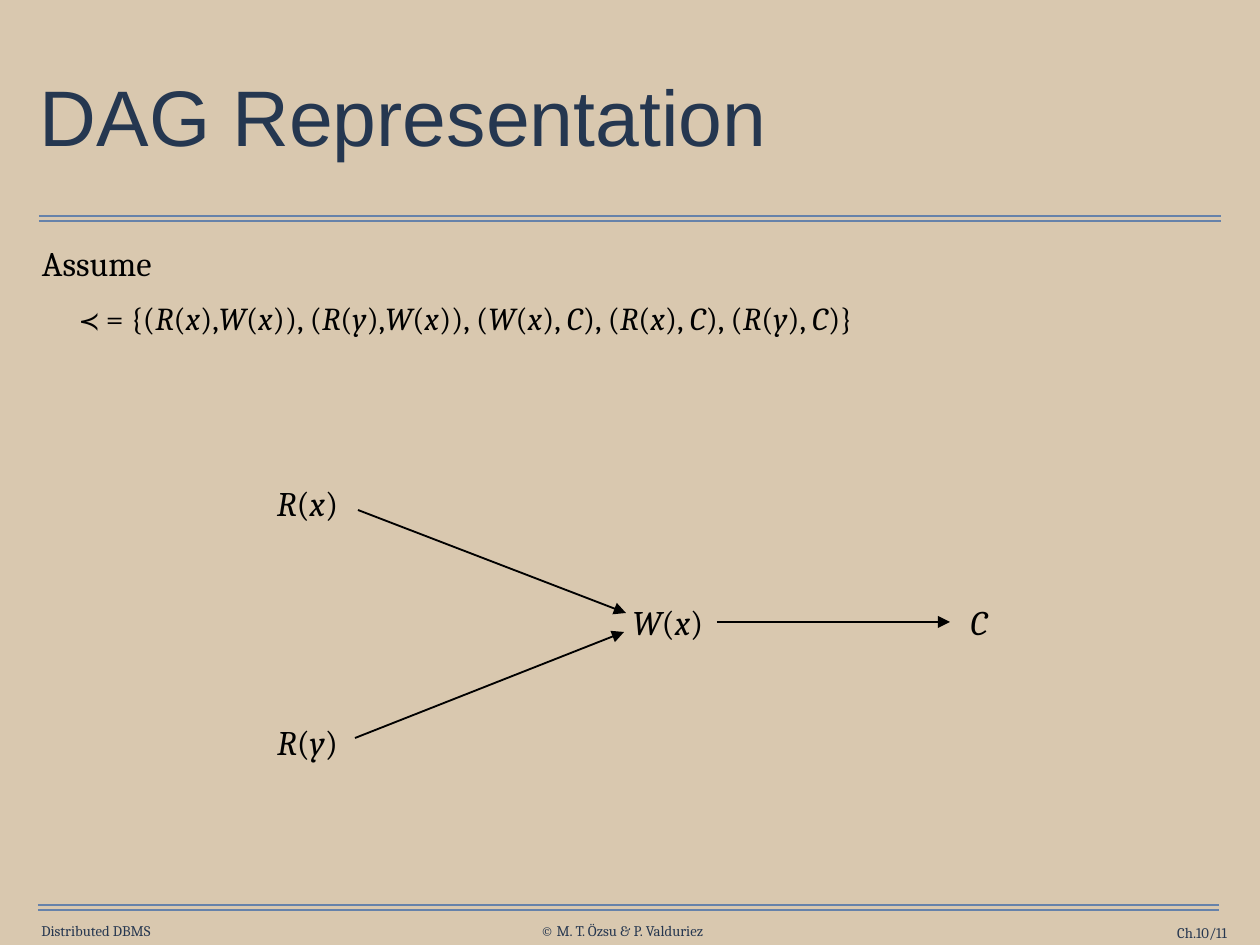
from itertools import groupby

from lxml.etree import SubElement
from pptx import Presentation
from pptx.dml.color import RGBColor
from pptx.enum.shapes import MSO_CONNECTOR
from pptx.enum.text import MSO_ANCHOR as ANCHOR, PP_ALIGN as ALIGN
from pptx.oxml.ns import qn
from pptx.util import Emu, Pt

EMU_PER_PX = 10320
SAND = RGBColor(0xD9, 0xC8, 0xAF)
NAVY = RGBColor(0x25, 0x37, 0x50)
FOOTER_NAVY = RGBColor(0x26, 0x37, 0x50)
RULE_BLUE = RGBColor(0x66, 0x82, 0xAA)
BLACK = RGBColor(0, 0, 0)
RIGHT_SIDE = 3

PRECEDENCE = "≺ = {(R(x),W(x)), (R(y),W(x)), (W(x), C), (R(x), C), (R(y), C)}"


def px(length):
    return Emu(length * EMU_PER_PX)


def add_run(paragraph, text, size, color, font="Cambria", italic=False):
    run = paragraph.add_run()
    run.text = text
    run.font.name = font
    run.font.size = Pt(size)
    run.font.color.rgb = color
    run.font.italic = italic


def add_formula(paragraph, formula, size):
    for is_symbol, characters in groupby(formula, str.isalpha):
        add_run(paragraph, "".join(characters), size, BLACK, italic=is_symbol)


def add_text_frame(slide, box, inset_x=0, inset_y=0, anchor=ANCHOR.TOP, wrap=True):
    shape = slide.shapes.add_textbox(*map(px, box))
    frame = shape.text_frame
    frame.word_wrap = wrap
    frame.vertical_anchor = anchor
    frame.margin_left = frame.margin_right = px(inset_x)
    frame.margin_top = frame.margin_bottom = px(inset_y)
    return shape, frame


def set_indent(paragraph, left, hanging):
    properties = paragraph._p.get_or_add_pPr()
    properties.set("marL", str(px(left)))
    properties.set("indent", str(px(-hanging)))
    paragraph.space_before = Pt(12)


def add_line(slide, start, end, color, width):
    line = slide.shapes.add_connector(MSO_CONNECTOR.STRAIGHT, *map(px, start + end))
    line.line.color.rgb = color
    line.line.width = Pt(width)
    SubElement(line._element.spPr, qn("a:effectLst"))
    return line


def add_double_rule(slide, left, right, top):
    for y in (top, top + 5):
        add_line(slide, (left, y), (right, y), RULE_BLUE, 1)


def add_arrow(slide, start, end):
    arrow = add_line(slide, start, end, BLACK, 1.5)
    SubElement(arrow.line._get_or_add_ln(), qn("a:tailEnd"), type="triangle", w="lg", len="lg")
    return arrow


def add_footer(slide, text, left, width, align, top=922):
    _, frame = add_text_frame(slide, (left, top, width, 18), anchor=ANCHOR.MIDDLE, wrap=False)
    paragraph = frame.paragraphs[0]
    paragraph.alignment = align
    add_run(paragraph, text, 12, FOOTER_NAVY)


def add_node(slide, label, left, top, width):
    shape, frame = add_text_frame(slide, (left, top, width, 54), 12, 6, wrap=False)
    paragraph = frame.paragraphs[0]
    paragraph.alignment = ALIGN.CENTER
    add_formula(paragraph, label, 28)
    return shape


def add_title(slide, text):
    _, frame = add_text_frame(slide, (35, 43, 1191, 156), 5, 5, ANCHOR.MIDDLE)
    paragraph = frame.paragraphs[0]
    paragraph.line_spacing = 0.9
    add_run(paragraph, text, 64, NAVY, "Arial")


def add_assumption(slide):
    _, frame = add_text_frame(slide, (37, 237, 1028, 118), 5, 5)
    heading = frame.paragraphs[0]
    set_indent(heading, 35, 35)
    add_run(heading, "Assume", 28, BLACK)
    relation = frame.add_paragraph()
    relation.level = 1
    set_indent(relation, 73, 35)
    add_formula(relation, PRECEDENCE, 26)


def add_graph(slide):
    add_node(slide, "R(x)", 259, 476, 97)
    add_node(slide, "R(y)", 259, 715, 97)
    write_node = add_node(slide, "W(x)", 619, 595, 98)
    add_node(slide, "C", 952, 595, 54)
    add_arrow(slide, (358, 510), (626, 613))
    add_arrow(slide, (355, 738), (624, 632))
    commit_arrow = add_arrow(slide, (717, 622), (950, 622))
    commit_arrow.begin_connect(write_node, RIGHT_SIDE)


def main():
    presentation = Presentation()
    presentation.slide_width = px(1260)
    presentation.slide_height = px(945)
    slide = presentation.slides.add_slide(presentation.slide_layouts[6])
    slide.background.fill.solid()
    slide.background.fill.fore_color.rgb = SAND

    add_double_rule(slide, 39, 1221, 216)
    add_double_rule(slide, 38, 1219, 905)
    add_footer(slide, "Distributed DBMS", 26, 140, ALIGN.CENTER)
    add_footer(slide, "© M. T. Özsu & P. Valduriez", 522, 200, ALIGN.CENTER)
    add_footer(slide, "Ch.10/11", 1091, 136, ALIGN.RIGHT, top=924)
    add_title(slide, "DAG Representation")
    add_assumption(slide)
    add_graph(slide)
    presentation.save("out.pptx")


if __name__ == "__main__":
    main()
